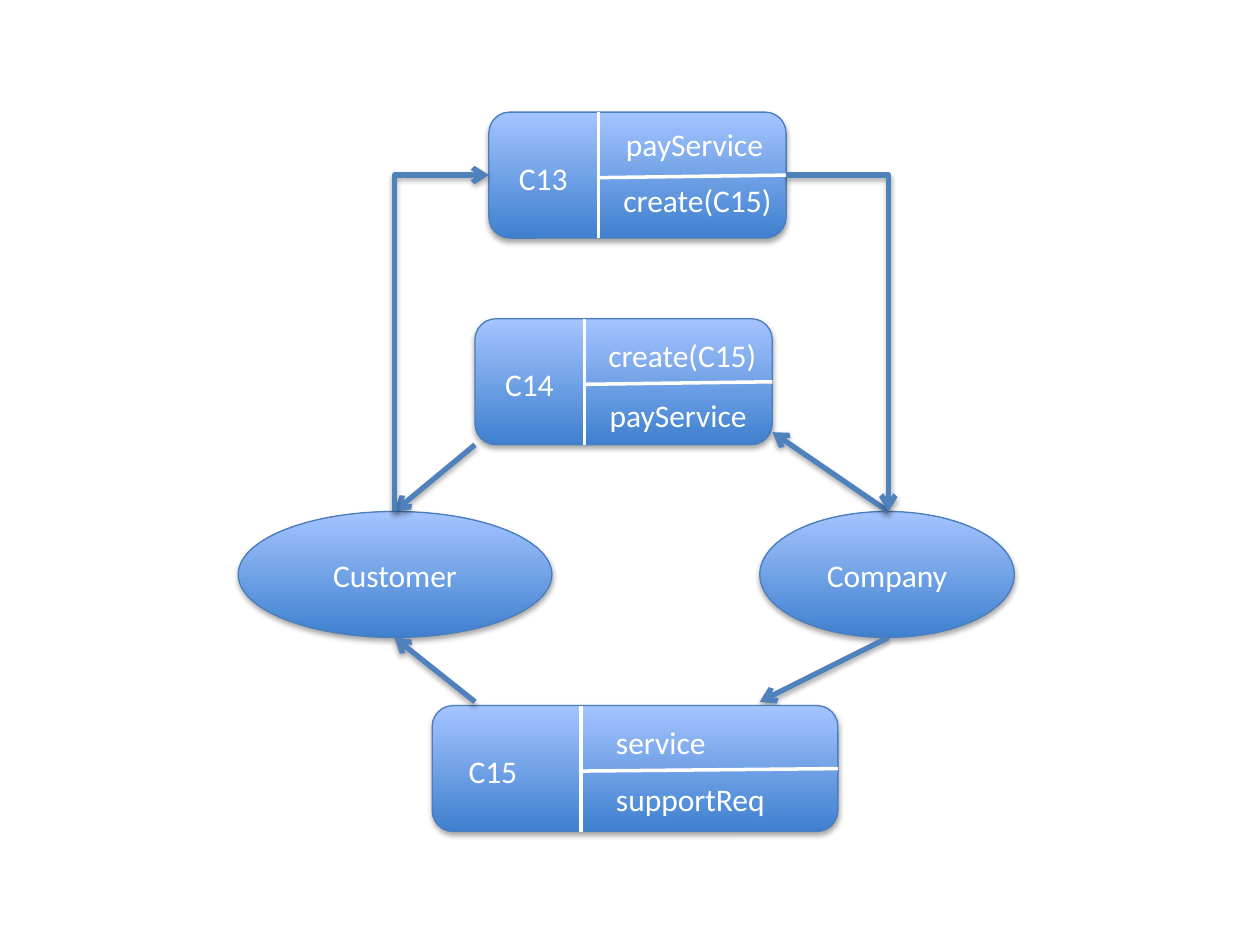
from lxml import etree
from pptx import Presentation
from pptx.dml.color import RGBColor
from pptx.enum.shapes import MSO_CONNECTOR, MSO_SHAPE
from pptx.enum.text import MSO_ANCHOR, MSO_AUTO_SIZE, PP_ALIGN
from pptx.oxml import parse_xml
from pptx.oxml.ns import nsdecls, qn
from pptx.util import Inches, Pt

OVAL = MSO_SHAPE.OVAL
ROUNDED = MSO_SHAPE.ROUNDED_RECTANGLE
STRAIGHT = MSO_CONNECTOR.STRAIGHT
ELBOW = MSO_CONNECTOR.ELBOW
MIDDLE = MSO_ANCHOR.MIDDLE
CENTER = PP_ALIGN.CENTER
LEFT = PP_ALIGN.LEFT
GROW = MSO_AUTO_SIZE.SHAPE_TO_FIT_TEXT

COLORS = {
    "dark": "3F80CE",
    "light": "A4C4FF",
    "outline": "4B7EBC",
    "arrow": "4F81BD",
    "white": "FFFFFF",
}
FONT = "Calibri"
BOX_HEIGHT = 1
TEXT_HEIGHT = 0.4
SHADOW = (
    f'<a:effectLst {nsdecls("a")}>'
    '<a:outerShdw blurRad="40000" dist="23000" dir="5400000" rotWithShape="0">'
    '<a:srgbClr val="000000"><a:alpha val="35000"/></a:srgbClr>'
    '</a:outerShdw></a:effectLst>'
)


def color(name):
    return RGBColor.from_string(COLORS[name])


def set_shadow(shape):
    properties = shape._element.spPr
    for effects in properties.findall(qn("a:effectLst")):
        properties.remove(effects)
    properties.append(parse_xml(SHADOW))


def write(shape, text, alignment):
    paragraph = shape.text_frame.paragraphs[0]
    paragraph.alignment = alignment
    run = paragraph.add_run()
    run.text = text
    run.font.name = FONT
    run.font.size = Pt(18)
    run.font.color.rgb = color("white")


def add_block(shapes, kind, left, top, width):
    block = shapes.add_shape(
        kind, Inches(left), Inches(top), Inches(width), Inches(BOX_HEIGHT)
    )
    block.fill.gradient()
    block.fill.gradient_angle = 90
    for stop, name in zip(block.fill.gradient_stops, ("dark", "light")):
        stop.color.rgb = color(name)
    block.line.color.rgb = color("outline")
    block.line.width = Pt(0.75)
    set_shadow(block)
    return block


def add_party(shapes, name, left, width):
    party = add_block(shapes, OVAL, left, 4.06, width)
    party.text_frame.vertical_anchor = MIDDLE
    write(party, name, CENTER)


def add_label(shapes, text, left, top, width):
    label = shapes.add_textbox(
        Inches(left), Inches(top), Inches(width), Inches(TEXT_HEIGHT)
    )
    label.text_frame.word_wrap = False
    label.text_frame.auto_size = GROW
    write(label, text, LEFT)


def add_line(shapes, kind, start, end, color_name, width):
    line = shapes.add_connector(kind, *map(Inches, start + end))
    line.line.color.rgb = color(color_name)
    line.line.width = Pt(width)
    etree.SubElement(line._element.spPr, qn("a:effectLst"))
    return line


def add_commitment(slide, left, top, width, divider, labels):
    shapes = slide.shapes.add_group_shape().shapes
    add_block(shapes, ROUNDED, left, top, width)
    column = left + divider
    right = left + width
    add_line(shapes, STRAIGHT, (column, top), (column, top + BOX_HEIGHT), "white", 2)
    add_line(shapes, STRAIGHT, (right, top + 0.5), (column, top + 0.52), "white", 2)
    for text, x, y, label_width in labels:
        add_label(shapes, text, left + x, top + y, label_width)


def add_arrow(shapes, start, end, kind=STRAIGHT):
    arrow = add_line(shapes, kind, start, end, "arrow", 3)
    etree.SubElement(arrow.line._get_or_add_ln(), qn("a:tailEnd"), type="arrow")
    set_shadow(arrow)
    return arrow


def add_corner_arrow(shapes, start, end, vertical_first=False):
    if vertical_first:
        center_x, center_y = [(a + b) / 2 for a, b in zip(start, end)]
        half_x, half_y = [(b - a) / 2 for a, b in zip(start, end)]
        start = (center_x - half_y, center_y + half_x)
        end = (center_x + half_y, center_y - half_x)
    arrow = add_arrow(shapes, start, end, ELBOW)
    properties = arrow._element.spPr
    properties.find(qn("a:prstGeom")).set("prst", "bentConnector2")
    if vertical_first:
        properties.find(qn("a:xfrm")).set("rot", "5400000")


def main():
    presentation = Presentation()
    presentation.slide_width = Inches(10)
    presentation.slide_height = Inches(7.5)
    slide = presentation.slides.add_slide(presentation.slide_layouts[6])
    shapes = slide.shapes

    customer_top, customer_bottom = (3.13, 4.06), (3.13, 5.06)
    company_top, company_bottom = (7.05, 4.06), (7.05, 5.06)

    add_party(shapes, "Customer", 1.89, 2.49)
    add_party(shapes, "Company", 6.03, 2.02)

    add_commitment(slide, 3.77, 2.53, 2.36, 0.87, [
        ("C14", 0.14, 0.32, 0.59),
        ("payService", 0.97, 0.56, 1.3),
        ("create(C15)", 0.96, 0.09, 1.4),
    ])
    add_arrow(shapes, (3.77, 3.53), customer_top)
    add_arrow(shapes, company_top, (6.13, 3.43))
    add_arrow(shapes, company_bottom, (6.03, 5.57))

    add_commitment(slide, 3.43, 5.6, 3.22, 1.18, [
        ("C15", 0.19, 0.32, 0.81),
        ("supportReq", 1.36, 0.54, 1.91),
        ("service", 1.36, 0.09, 1.25),
    ])
    add_arrow(shapes, (3.77, 5.57), customer_bottom)

    add_commitment(slide, 3.88, 0.89, 2.36, 0.87, [
        ("C13", 0.14, 0.32, 0.59),
        ("payService", 0.99, 0.05, 1.3),
        ("create(C15)", 0.97, 0.5, 1.4),
    ])
    add_corner_arrow(shapes, customer_top, (3.88, 1.39), vertical_first=True)
    add_corner_arrow(shapes, (6.24, 1.39), company_top)

    presentation.save("out.pptx")


main()
